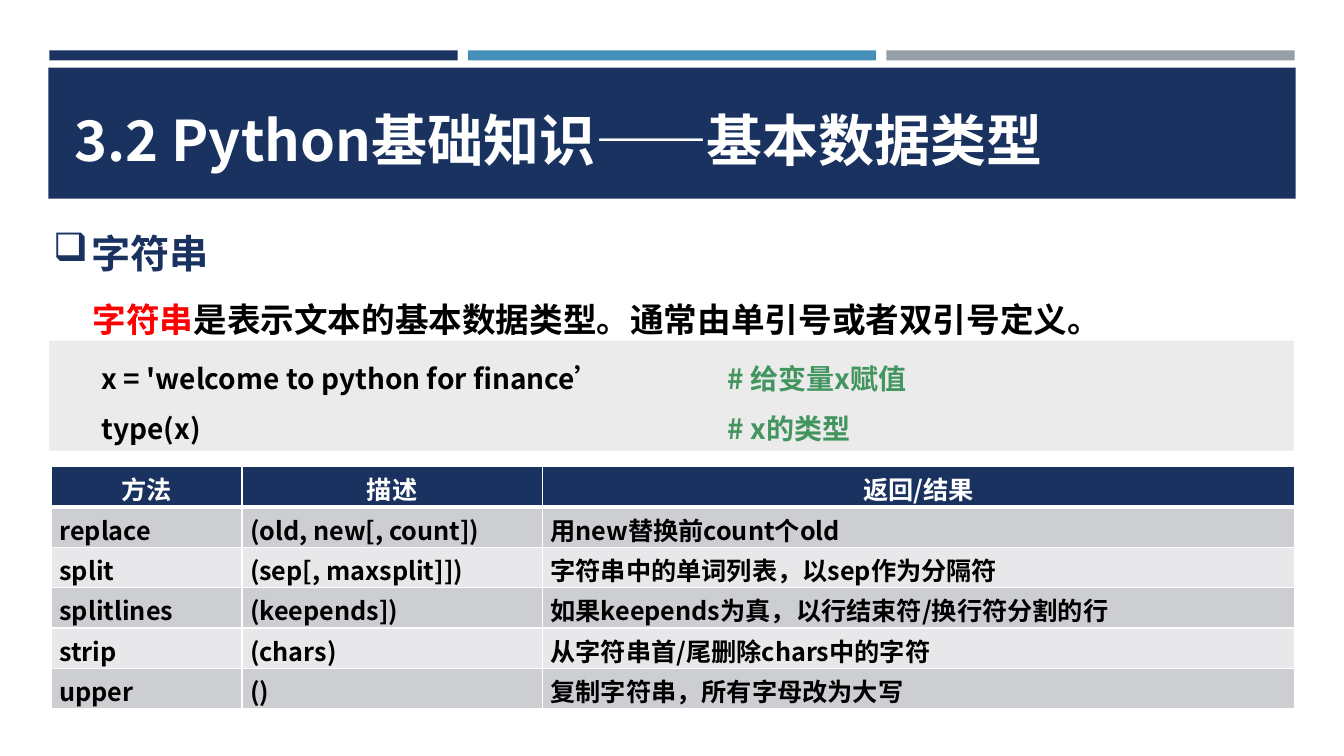
from lxml.etree import SubElement
from pptx import Presentation
from pptx.dml.color import RGBColor
from pptx.enum.shapes import MSO_SHAPE
from pptx.enum.text import MSO_ANCHOR, PP_ALIGN
from pptx.oxml.ns import qn
from pptx.util import Inches, Pt

NAVY, WHITE, BLACK, GREEN = "1A3260", "FFFFFF", "000000", "42955F"
FACE = "Noto Sans CJK SC"


def paint(target, color):
    """Give a fill a solid colour."""
    target.solid()
    target.fore_color.rgb = RGBColor.from_string(color)


def style(frame, size, color, space=None):
    """Format every run of a text frame, East Asian face included."""
    for para in frame.paragraphs:
        para.line_spacing = space
        for run in para.runs:
            run.font.size, run.font.bold, run.font.name = Pt(size), True, FACE
            run.font.color.rgb = RGBColor.from_string(color)
            SubElement(run.font._element, qn("a:ea")).set("typeface", FACE)


deck = Presentation()
deck.slide_width, deck.slide_height = Inches(13.33), Inches(7.5)
slide = deck.slides.add_slide(deck.slide_layouts[5])
shapes = slide.shapes

# Header bars, title band and code panel
bars = [(0.49 + 4.15 * i, 0.5, 4.05, 0.1, color)
        for i, color in enumerate([NAVY, "4590B8", "969FA7"])]
bars += [(0.48, 0.67, 12.37, 1.3, NAVY), (0.49, 3.38, 12.34, 1.09, "EBEBEB")]
for *box, color in bars:
    bar = shapes.add_shape(MSO_SHAPE.RECTANGLE, *map(Inches, box))
    bar.shadow.inherit = False
    paint(bar.fill, color)
    bar.line.fill.background()

# Title, moved in front of its band
title = shapes.title
title.left, title.top = Inches(0.64), Inches(0.99)
title.width, title.height = Inches(12.2), Inches(0.77)
title.text_frame.text = "3.2 Python基础知识——基本数据类型"
title.text_frame.vertical_anchor = MSO_ANCHOR.MIDDLE
title.text_frame.paragraphs[0].alignment = PP_ALIGN.LEFT
style(title.text_frame, 40, WHITE)
shapes._spTree.append(title._element)

# Heading, definition, code and comments
texts = [
    (0.43, 1.99, 12.4, 0.72, "字符串", 28, NAVY),
    (0.82, 2.72, 11.92, 0.64,
     "字符串是表示文本的基本数据类型。通常由单引号或者双引号定义。", 24, BLACK),
    (0.91, 3.37, 6.2, 1.11,
     "x = 'welcome to python for finance’\ntype(x)", 20, BLACK),
    (7.12, 3.37, 5.7, 1.11, "# 给变量x赋值\n# x的类型", 20, GREEN),
]
frames = []
for *box, text, size, color in texts:
    frame = shapes.add_textbox(*map(Inches, box)).text_frame
    frame.word_wrap = True
    frame.text = text
    frames.append(frame)
    if text == "字符串":
        props = frame.paragraphs[0]._p.get_or_add_pPr()
        props.set("marL", str(Inches(0.38)))
        props.set("indent", str(-Inches(0.38)))
        SubElement(props, qn("a:buChar")).set("char", "❑")
    style(frame, size, color, 1.5)

# The defined term stands out in red
para = frames[1].paragraphs[0]
term, rest = para.runs[0], para.add_run()
term.text, rest.text = term.text[:3], term.text[3:]
style(frames[1], 24, BLACK, 1.5)
term.font.color.rgb = RGBColor.from_string("FF0000")

# Table of string methods
rows = [
    ("方法", "描述", "返回/结果"),
    ("replace", "(old, new[, count])", "用new替换前count个old"),
    ("split", "(sep[, maxsplit]])", "字符串中的单词列表，以sep作为分隔符"),
    ("splitlines", "(keepends])", "如果keepends为真，以行结束符/换行符分割的行"),
    ("strip", "(chars)", "从字符串首/尾删除chars中的字符"),
    ("upper", "()", "复制字符串，所有字母改为大写"),
]
table = shapes.add_table(len(rows), 3, Inches(0.51), Inches(4.63),
                         Inches(12.33), Inches(2.4)).table
for col, width in zip(table.columns, [1.89, 2.98, 7.46]):
    col.width = Inches(width)
for r, row in enumerate(rows):
    table.rows[r].height = Inches(0.4)
    for c, text in enumerate(row):
        cell = table.cell(r, c)
        cell.text = text
        cell.margin_left = cell.margin_right = Inches(0.08)
        cell.margin_top = cell.margin_bottom = 0
        cell.vertical_anchor = MSO_ANCHOR.BOTTOM
        style(cell.text_frame, 18, BLACK if r else WHITE)
        if r == 0:
            cell.text_frame.paragraphs[0].alignment = PP_ALIGN.CENTER
        props = cell._tc.get_or_add_tcPr()
        for side in ("lnL", "lnR", "lnT", "lnB"):
            thick = 3 if (r, side) in ((0, "lnB"), (1, "lnT")) else 1
            edge = SubElement(props, qn("a:" + side), w=str(Pt(thick)))
            fill = SubElement(edge, qn("a:solidFill"))
            SubElement(fill, qn("a:srgbClr"), val=WHITE)
        paint(cell.fill, ("CDCED2" if r % 2 else "E8E8EA") if r else NAVY)

deck.save("out.pptx")
